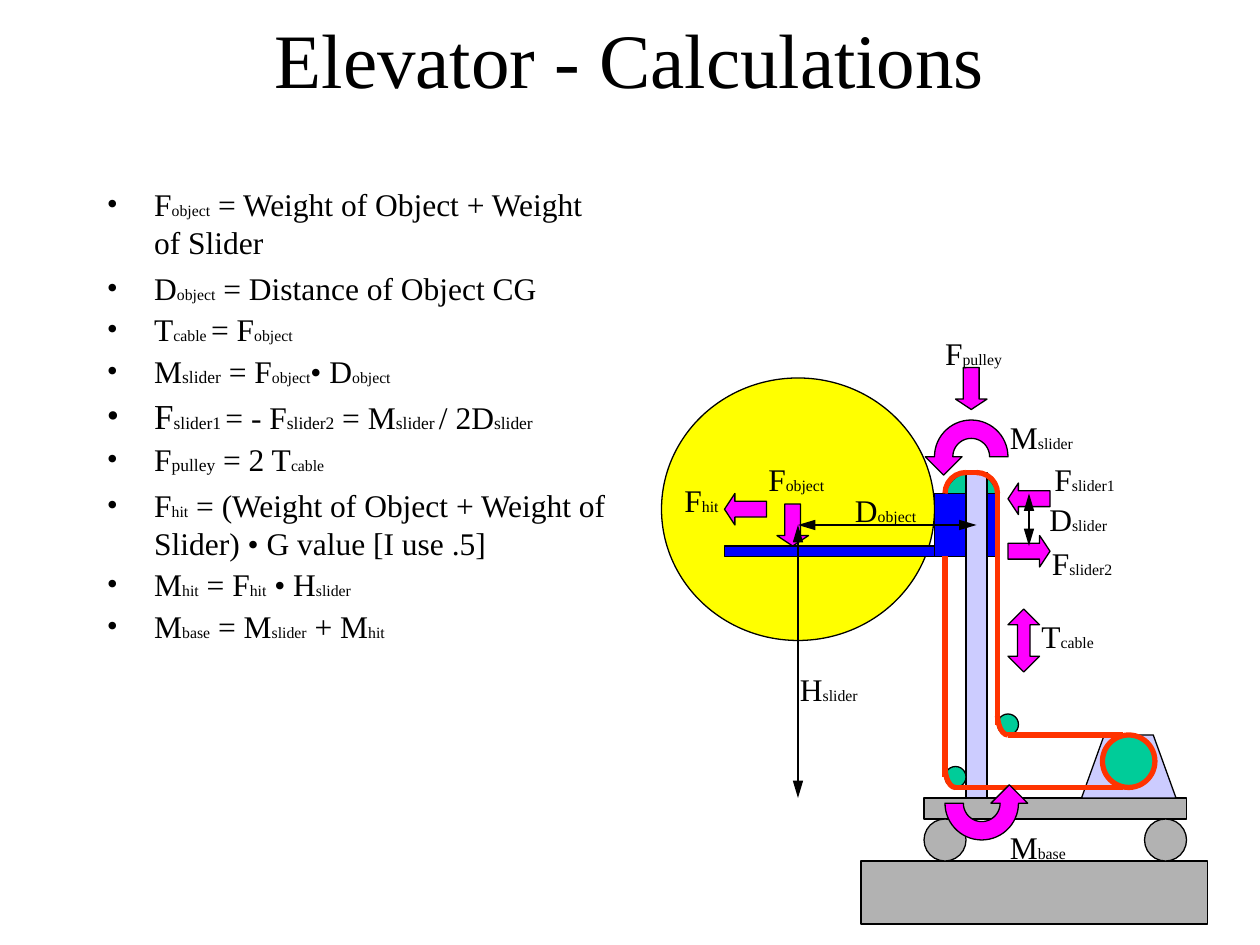
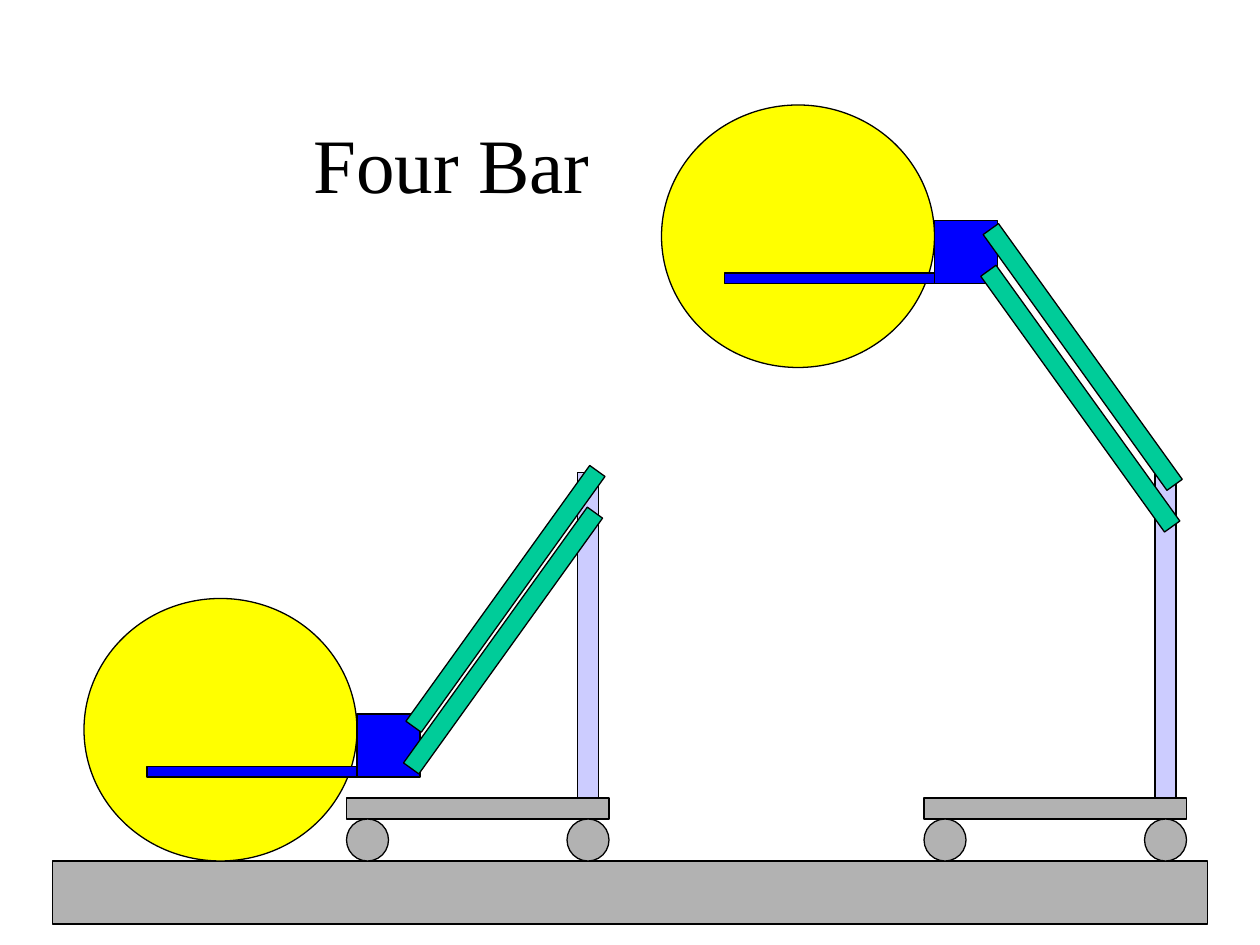
from itertools import cycle
from math import cos, radians, sin

from lxml import etree
from pptx import Presentation
from pptx.dml.color import RGBColor
from pptx.enum.shapes import MSO_CONNECTOR, MSO_SHAPE
from pptx.enum.text import MSO_ANCHOR, PP_ALIGN
from pptx.oxml.ns import qn
from pptx.util import Pt

RECT, OVAL, ARC = MSO_SHAPE.RECTANGLE, MSO_SHAPE.OVAL, MSO_SHAPE.ARC
LEFT, RIGHT = MSO_SHAPE.LEFT_ARROW, MSO_SHAPE.RIGHT_ARROW
DOWN, BOTH = MSO_SHAPE.DOWN_ARROW, MSO_SHAPE.UP_DOWN_ARROW
LINE = MSO_CONNECTOR.STRAIGHT
MIDDLE, CENTER = MSO_ANCHOR.MIDDLE, PP_ALIGN.CENTER

FONT = "Times New Roman"
HEX = {
    "ink": "000000",
    "ball": "FFFF00",
    "lift": "0000FF",
    "mast": "CCCCFF",
    "base": "B2B2B2",
    "wheel": "00CC99",
    "cable": "FF3300",
    "force": "FF00FF",
}
RGB = {name: RGBColor.from_string(code) for name, code in HEX.items()}


def put(slide, kind, box, fill, line="ink", width=0.75):
    """Add a preset shape, or a closed outline when kind is None and box holds points."""
    if kind is None:
        points = [(Pt(x), Pt(y)) for x, y in box]
        outline = slide.shapes.build_freeform(*points[0])
        outline.add_line_segments(points[1:])
        shape = outline.convert_to_shape()
    else:
        shape = slide.shapes.add_shape(kind, *map(Pt, box))
    shape.shadow.inherit = False
    if fill:
        shape.fill.solid()
        shape.fill.fore_color.rgb = RGB[fill]
    else:
        shape.fill.background()
    shape.line.color.rgb = RGB[line]
    shape.line.width = Pt(width)
    return shape


def link(slide, ends, color, width, heads=()):
    line = slide.shapes.add_connector(LINE, *map(Pt, ends))
    line.line.color.rgb = RGB[color]
    line.line.width = Pt(width)
    for head in heads:
        etree.SubElement(line.line._ln, qn(head), type="triangle", len="lg")
    etree.SubElement(line._element.spPr, qn("a:effectLst"))
    return line


deck = Presentation()
deck.slide_width, deck.slide_height = Pt(720), Pt(540)
blank = deck.slide_layouts[6]
one, two = [deck.slides.add_slide(blank) for _ in range(2)]
texts = []  # paragraph, text with "|" between runs, run sizes

# Titles and ground
for slide, title, box, ground in [
    (one, "Elevator - Calculations", (54, -12, 612, 90), (492, 198)),
    (two, "Four Bar", (54, 48, 408, 90), (30, 660)),
]:
    frame = slide.shapes.add_textbox(*map(Pt, box)).text_frame
    frame.word_wrap = True
    frame.vertical_anchor = MIDDLE
    frame.paragraphs[0].alignment = CENTER
    texts.append((frame.paragraphs[0], title, (44,)))
    left, width = ground
    put(slide, RECT, (left, 492, width, 36), "base")

# Formulas
NORMAL = (18, 9)
formulas = [
    (4.5, "F|object| = Weight of Object + Weight of Slider", NORMAL),
    (4.5, "D|object| = Distance of Object CG", NORMAL),
    (2.2, "T|cable| |= F|object", (18, 9, 10, 18, 9)),
    (2.2, "M|slider| = F|object|• D|object", (18, 10, 18, 9, 18, 9)),
    (2.5, "F|slider1 |= - F|slider2| = M|slider |/ 2D|slider",
     (20, 10, 18, 10, 18, 10, 18, 10)),
    (2.2, "F|pulley| = 2 T|cable", (18, 10, 18, 9)),
    (4.5, "F|hit| = (Weight of Object + Weight of Slider) • G value [I use .5]", NORMAL),
    (2.2, "M|hit| = F|hit| • H|slider", NORMAL),
    (2.2, "M|base| = M|slider| + M|hit", NORMAL),
]
frame = one.shapes.add_textbox(Pt(54), Pt(102.3), Pt(300), Pt(408)).text_frame
frame.word_wrap = True
for i, (space, text, sizes) in enumerate(formulas):
    para = frame.add_paragraph() if i else frame.paragraphs[0]
    para.space_before = Pt(space)
    props = para._p.get_or_add_pPr()
    props.set("marL", str(Pt(27)))
    props.set("indent", str(-Pt(27)))
    etree.SubElement(props, qn("a:buFont"), typeface=FONT)
    etree.SubElement(props, qn("a:buChar"), char="•")
    texts.append((para, text, sizes))

# Lifted object, cart and mast
put(one, OVAL, (540, 270, 30, 30), "wheel")
masts = []
for slide, x, y, cart, mast in [
    (one, 378, 216, 528, 552),
    (two, 48, 342, 198, 330),
    (two, 378, 60, 528, 660),
]:
    put(slide, OVAL, (x, y, 156, 150), "ball")
    put(slide, RECT, (x + 156, y + 66, 36, 36), "lift")
    put(slide, RECT, (x + 36, y + 96, 120, 6), "lift")
    put(slide, RECT, (cart, 456, 150, 12), "base")
    for wheel in (cart, cart + 126):
        put(slide, OVAL, (wheel, 468, 24, 24), "base")
    masts.append(put(slide, RECT, (mast, 270, 12, 186), "mast"))

# Motor, pulleys and cable
put(one, None, [(618, 456), (672, 456), (659, 420), (631, 420)], "mast")
for x, y in [(540, 438), (570, 408)]:
    put(one, OVAL, (x, y, 12, 12), "wheel")
put(one, OVAL, (630, 420, 30, 30), "wheel", "cable", 3)
for box, start, end in [
    ((546, 270, 24, 24), 270, 0),
    ((540, 270, 24, 24), 180, 270),
    ((540, 426, 12, 24), 90, 170),
    ((570, 396, 12, 24), 90, 170),
]:
    bend = put(one, ARC, box, None, "cable", 3)
    # Angles are stored in 60000ths of a degree, adjustments in 100000ths
    bend.adjustments[0], bend.adjustments[1] = start * 0.6, end * 0.6
for ends in [
    (576, 420, 642, 420),
    (546, 450, 642, 450),
    (570, 282, 570, 414),
    (540, 444, 540, 318),
]:
    link(one, ends, "cable", 3)
link(one, (552, 270, 558, 270), "cable", 3).end_connect(masts[0], 0)

# Moments: half rings with an arrow head, the second turned by 180 degrees
inner, outer = 10.5, 21
ring = [(inner, a) for a in range(180, -1, -6)] + [(outer, a) for a in range(0, 181, 6)]
turn = [(r * cos(radians(a)), -r * sin(radians(a))) for r, a in ring]
turn += [(-26.25, 0), (-15.75, 10.5), (-5.25, 0)]
for x, y, sign in [(555, 261, 1), (561, 459, -1)]:
    put(one, None, [(x + sign * dx, y + sign * dy) for dx, dy in turn], "force")

# Forces
for kind, box, head in [
    (RIGHT, (576, 306, 24, 18), 0.33),
    (LEFT, (576, 276, 24, 18), 0.33),
    (LEFT, (414, 282, 24, 18), 0.33),
    (DOWN, (546, 210, 18, 24), 0.33),
    (DOWN, (444, 288, 18, 24), 0.33),
    (BOTH, (576, 348, 18, 36), 0.4),
]:
    arrow = put(one, kind, box, "force")
    arrow.adjustments[0], arrow.adjustments[1] = 0.5, head

# Distances
for ends in [(456, 300, 558, 300), (588, 312, 588, 282), (456, 456, 456, 300)]:
    link(one, ends, "ink", 0.75, ("a:headEnd", "a:tailEnd"))

# Labels, each box a little wider than its text
for x, y, width, text in [
    (432, 259.5, 50, "F|object"),
    (595.5, 259.5, 52, "F|slider1"),
    (594, 307.5, 52, "F|slider2"),
    (533, 187.5, 50, "F|pulley"),
    (570, 235.5, 54, "M|slider"),
    (570, 469.5, 50, "M|base"),
    (481.5, 277, 52, "D|object"),
    (592.5, 282, 51, "D|slider"),
    (588, 349, 48, "T|cable"),
    (384, 271.5, 38, "F|hit"),
    (450, 379.5, 51, "H|slider"),
]:
    frame = one.shapes.add_textbox(Pt(x), Pt(y), Pt(width), Pt(29)).text_frame
    frame.word_wrap = True
    texts.append((frame.paragraphs[0], text, NORMAL))

# Four bar links
for x, y, angle in [(198.9, 336.8, 305.7), (528.7, 198.6, 54.3)]:
    for i in range(2):
        bar = put(two, RECT, (x - 1.4 * i, y + 23.8 * i, 180, 10.8), "wheel")
        bar.rotation = angle

for para, text, sizes in texts:
    para.font.name = FONT
    para.font.color.rgb = RGB["ink"]
    for part, size in zip(text.split("|"), cycle(sizes)):
        run = para.add_run()
        run.text = part
        run.font.size = Pt(size)

deck.save("out.pptx")
